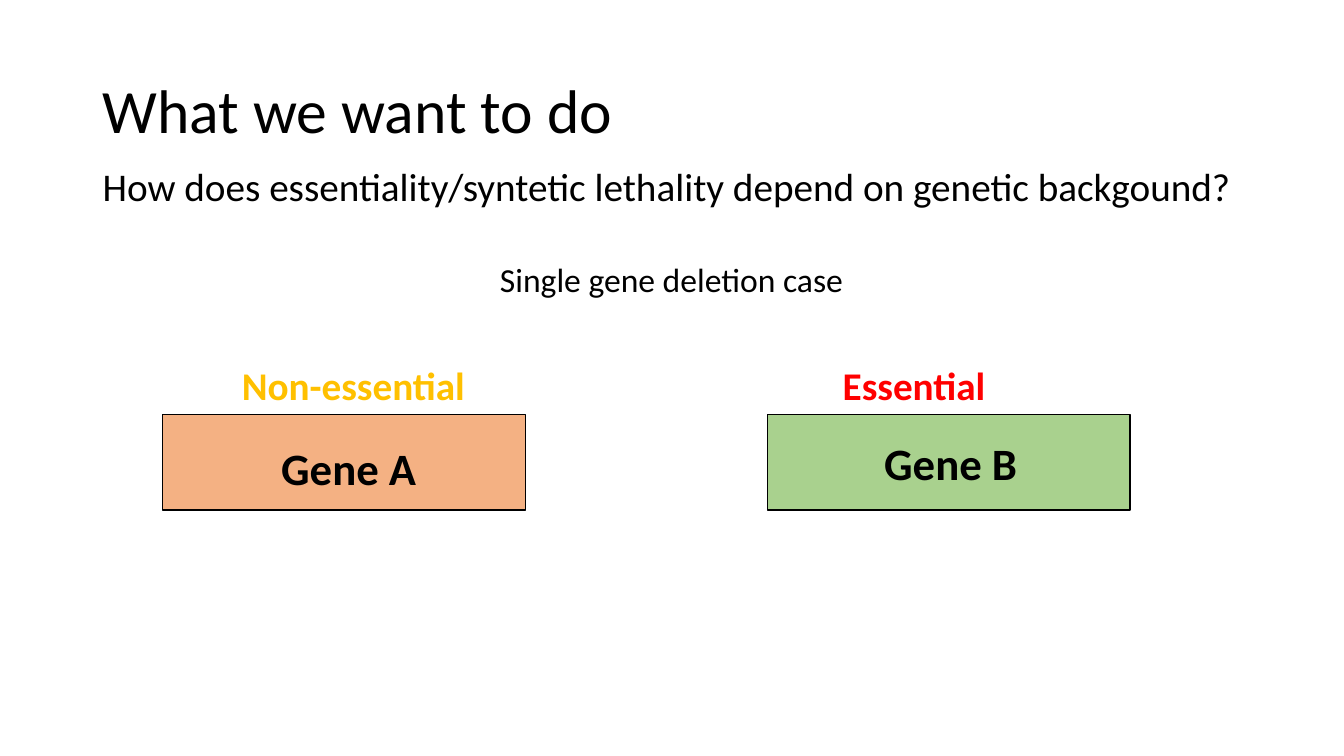
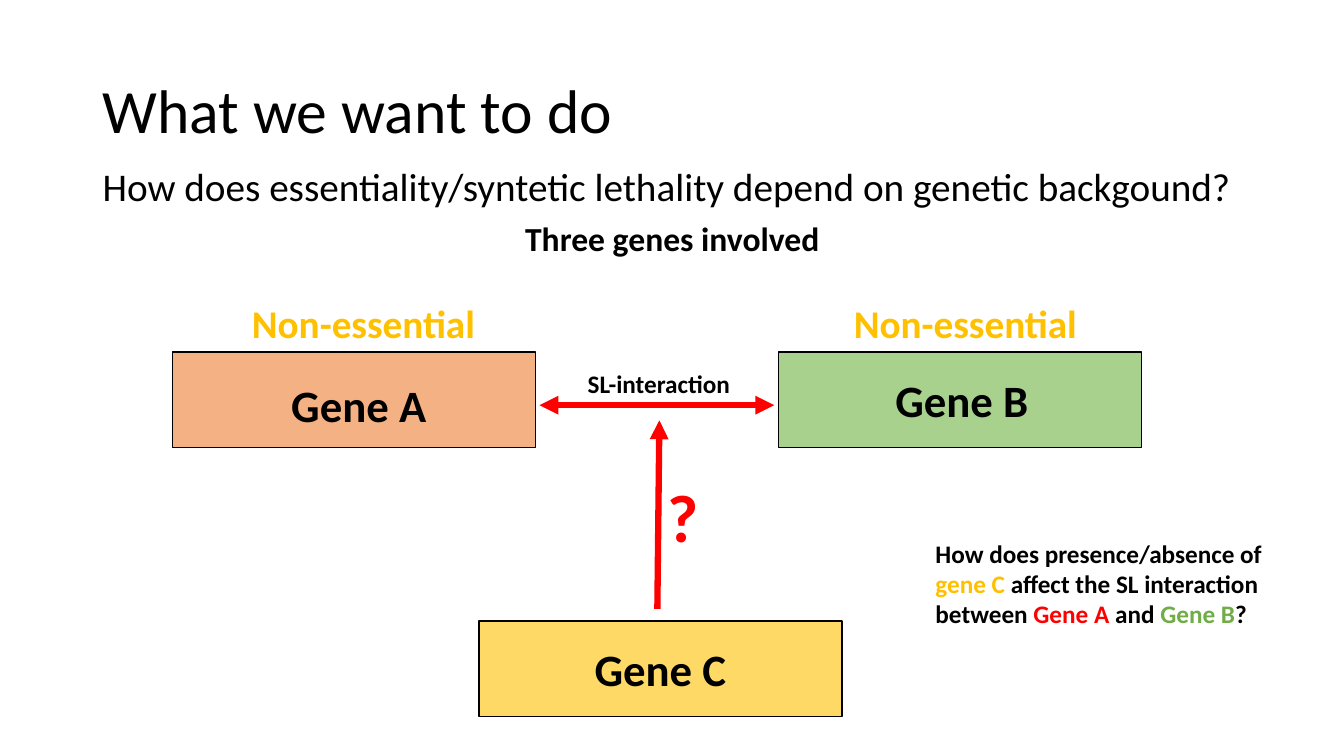
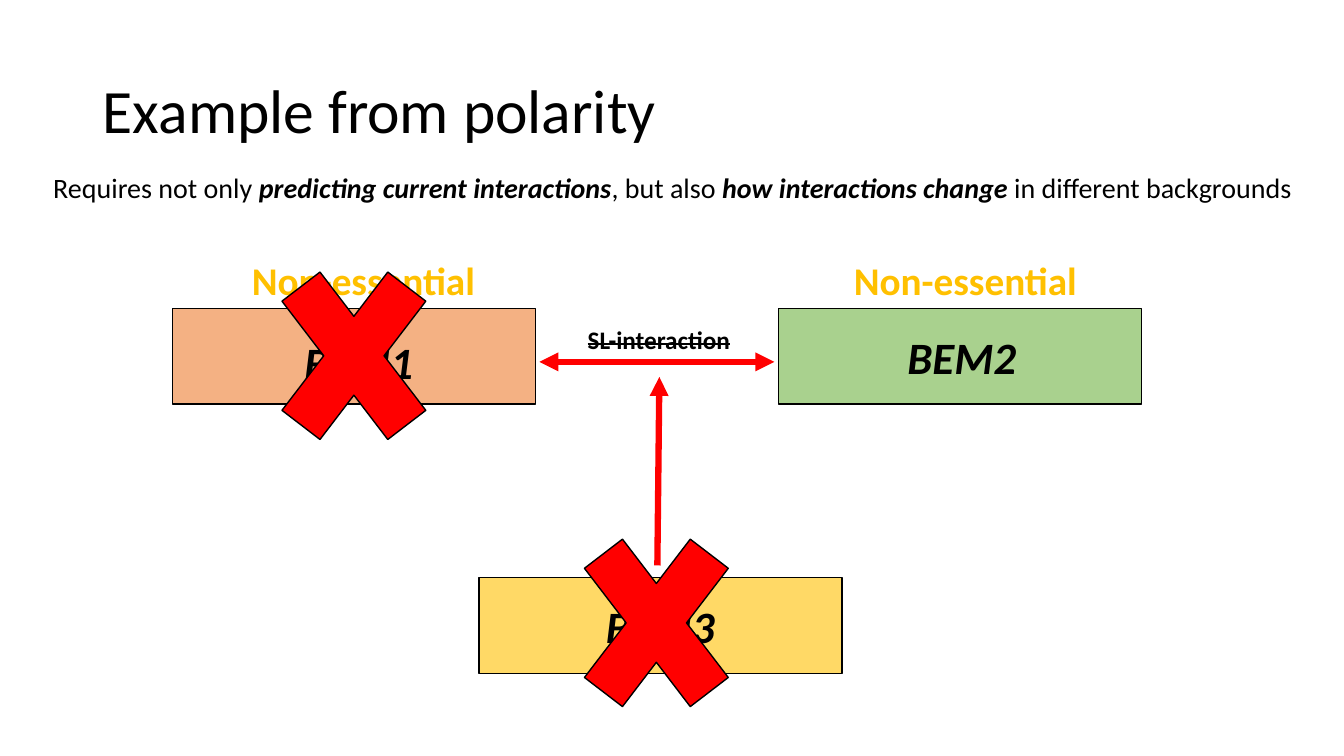
from lxml import etree
from pptx import Presentation
from pptx.dml.color import RGBColor
from pptx.enum.shapes import MSO_CONNECTOR as Connector, MSO_SHAPE as Shape
from pptx.enum.text import MSO_ANCHOR as Anchor, PP_ALIGN as Align
from pptx.oxml.ns import qn
from pptx.util import Pt

PX = 9144  # EMU per px, 100 px to the inch
FONT = "Calibri"
BLACK = RGBColor(0x00, 0x00, 0x00)
RED = RGBColor(0xFF, 0x00, 0x00)
AMBER = RGBColor(0xFF, 0xC0, 0x00)
GREEN = RGBColor(0x70, 0xAD, 0x47)
PEACH = RGBColor(0xF4, 0xB1, 0x83)
PALE_GREEN = RGBColor(0xA9, 0xD1, 0x8E)
YELLOW = RGBColor(0xFF, 0xD9, 0x66)

TITLE_BOX = (92, 40, 1150, 145)
QUESTION_BOX = (92, 156, 1150, 57)
GENE_W, GENE_H = 360, 95
GENE_C_LEFT, GENE_C_DROP = 475, 267


def write(frame, runs, size, align=Align.LEFT):
    """Fill a text frame with (text, colour, style) runs; style letters: b, i, s."""
    frame.word_wrap = True
    paragraph = frame.paragraphs[0]
    paragraph.alignment = align
    for text, colour, style in runs:
        run = paragraph.add_run()
        run.text = text
        run.font.name, run.font.size = FONT, Pt(size)
        run.font.color.rgb = colour
        run.font.bold, run.font.italic = "b" in style, "i" in style
        if "s" in style:
            run.font._element.set("strike", "sngStrike")
    return paragraph


def add_label(slide, box, runs, size):
    label = slide.shapes.add_textbox(*(v * PX for v in box))
    write(label.text_frame, runs, size)


deck = Presentation()
deck.slide_width, deck.slide_height = 1333 * PX, 750 * PX
title_only = deck.slide_layouts[5]

question = [("How does essentiality/syntetic lethality depend on genetic backgound?", BLACK, "")]
non_essential = ("Non-essential", AMBER)

# Title, genes, gene style, row top, left edges of A and B, their states
cases = [
    ("What we want to do", ["Gene A", "Gene B"], "b", 411, (161, 761),
     (non_essential, ("Essential", RED))),
    ("What we want to do", ["Gene A", "Gene B", "Gene C"], "b", 349, (171, 772),
     (non_essential, non_essential)),
    ("Example from polarity", ["BEM1", "BEM2", "BEM3"], "bi", 306, (171, 772),
     (non_essential, non_essential)),
]

slides = []
for heading, genes, gene_style, row, lefts, states in cases:
    slide = deck.slides.add_slide(title_only)
    slides.append(slide)

    # Title
    title = slide.shapes.title
    title.left, title.top, title.width, title.height = (v * PX for v in TITLE_BOX)
    title.text_frame.vertical_anchor = Anchor.MIDDLE
    write(title.text_frame, [(heading, BLACK, "")], 44).line_spacing = 0.9

    # Gene boxes, with the name shifted slightly off centre in some
    spots = [(lefts[0], row, PEACH, 5, 5), (lefts[1], row, PALE_GREEN, 2, 0),
             (GENE_C_LEFT, row + GENE_C_DROP, YELLOW, 0, 0)]
    for name, (left, top, fill, shift_x, shift_y) in zip(genes, spots):
        gene = slide.shapes.add_shape(Shape.RECTANGLE, left * PX, top * PX,
                                      GENE_W * PX, GENE_H * PX)
        gene.shadow.inherit = False
        gene.fill.solid()
        gene.fill.fore_color.rgb = fill
        gene.line.color.rgb, gene.line.width = BLACK, Pt(1)
        frame = gene.text_frame
        frame.vertical_anchor = Anchor.MIDDLE
        frame.margin_left, frame.margin_right = 2 * shift_x * PX, 0
        frame.margin_top, frame.margin_bottom = 2 * shift_y * PX, 0
        write(frame, [(name, BLACK, gene_style)], 32, Align.CENTER)

    # Essentiality above genes A and B
    for left, offset, (state, colour) in zip(lefts, (69, 65), states):
        add_label(slide, (left + offset, row - 57, 258, 57), [(state, colour, "b")], 28)

    # Interaction arrows: A with B, and C onto that interaction
    if len(genes) == 3:
        for x1, y1, x2, y2, ends in [
            (535, row + 53, 768, row + 53, ("headEnd", "tailEnd")),
            (652, row + 255, 654, row + 68, ("tailEnd",)),
        ]:
            arrow = slide.shapes.add_connector(Connector.STRAIGHT,
                                               x1 * PX, y1 * PX, x2 * PX, y2 * PX)
            arrow.line.color.rgb, arrow.line.width = RED, Pt(4.5)
            outline = arrow.line._get_or_add_ln()
            for end in ends:
                etree.SubElement(outline, qn("a:" + end), type="triangle")
            etree.SubElement(arrow._element.spPr, qn("a:effectLst"))

single, triple, polarity = slides

# Single deletion
add_label(single, QUESTION_BOX, question, 28)
add_label(single, (486, 252, 362, 50), [("Single gene deletion case", BLACK, "")], 24)

# Three genes
add_label(triple, QUESTION_BOX, question, 28)
add_label(triple, (511, 211, 333, 50), [("Three genes involved", BLACK, "b")], 24)
add_label(triple, (573, 360, 167, 40), [("SL-interaction", BLACK, "b")], 18)
add_label(triple, (652, 467, 55, 91), [("?", RED, "b")], 48)
add_label(triple, (918, 529, 385, 101), [
    ("How does presence/absence of ", BLACK, "b"),
    ("gene C ", AMBER, "b"),
    ("affect the SL interaction between ", BLACK, "b"),
    ("Gene A ", RED, "b"),
    ("and ", BLACK, "b"),
    ("Gene B", GREEN, "b"),
    ("?", BLACK, "b"),
], 18)

# Polarity example: interaction lost, BEM1 and BEM3 deleted
add_label(polarity, (573, 317, 167, 40), [("SL-interaction", BLACK, "bs")], 18)
for left, top in [(250, 221), (550, 486)]:
    deletion = polarity.shapes.add_shape(Shape.MATH_MULTIPLY, left * PX, top * PX,
                                         202 * PX, 264 * PX)
    deletion.shadow.inherit = False
    deletion.fill.solid()
    deletion.fill.fore_color.rgb = RED
    deletion.line.color.rgb, deletion.line.width = BLACK, Pt(1)
add_label(polarity, (43, 164, 1280, 44), [
    ("Requires not only ", BLACK, ""),
    ("predicting current interactions", BLACK, "bi"),
    (", but also ", BLACK, ""),
    ("how interactions change ", BLACK, "bi"),
    ("in different backgrounds", BLACK, ""),
], 20)

deck.save("out.pptx")
